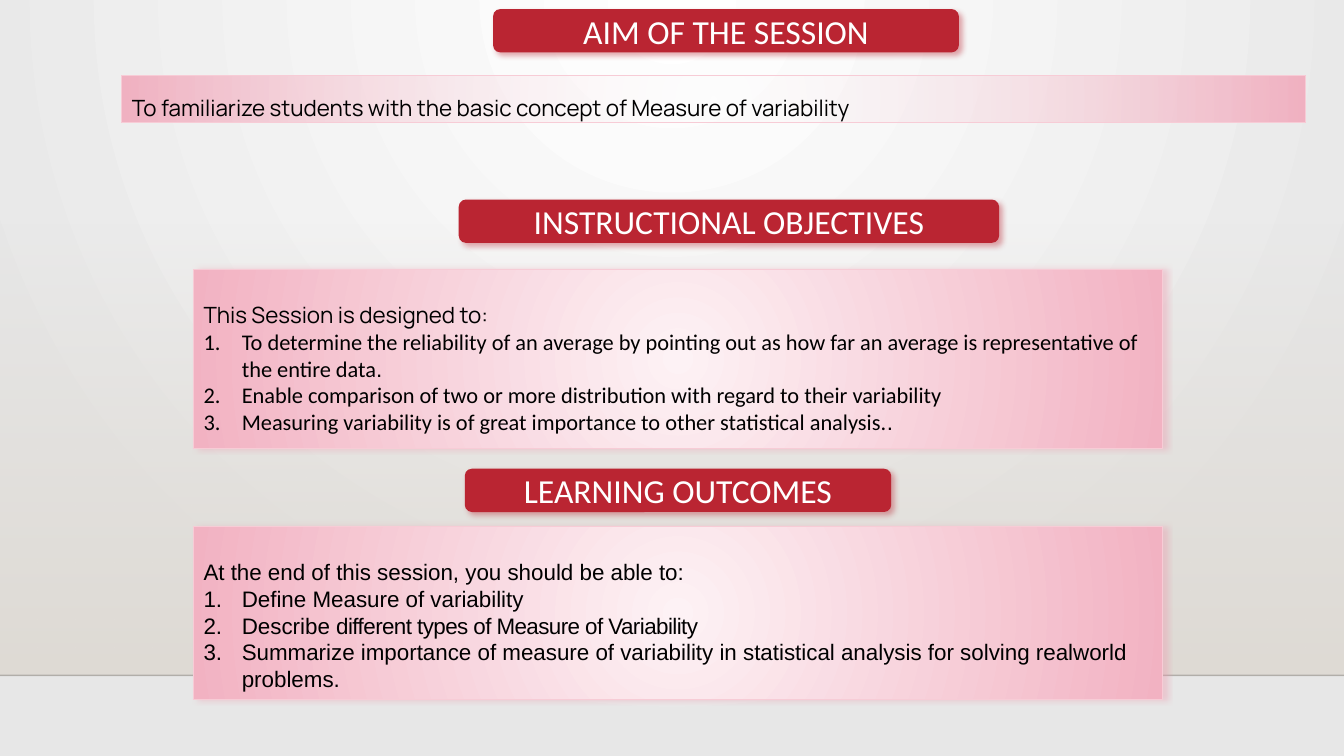
from lxml.etree import SubElement
from pptx import Presentation
from pptx.dml.color import RGBColor
from pptx.enum.shapes import MSO_CONNECTOR as Connector, MSO_SHAPE as Shape
from pptx.enum.text import MSO_ANCHOR as Anchor, MSO_AUTO_SIZE as AutoSize, PP_ALIGN as Align
from pptx.oxml.ns import qn
from pptx.util import Inches, Pt

COLORS = {
    "white": "FFFFFF", "mist": "E7E7E7", "sand": "DFDBD5", "rule": "000001",
    "red": "BA2532", "blush": "FDF2F5", "pink": "F2B2C2", "edge": "F7CCD6",
    "glow": "EE99AD", "black": "000000",
}
CENTRE = (50, 50, 50, 50)


class SessionSlide:
    def __init__(self, deck):
        self.slide = deck.slides.add_slide(deck.slide_layouts[6])
        self.shapes = self.slide.shapes

    def rgb(self, name):
        return RGBColor.from_string(COLORS[name])

    def add_color(self, parent, name, alpha=100):
        color = SubElement(parent, qn("a:srgbClr"), val=COLORS[name])
        if alpha < 100:
            SubElement(color, qn("a:alpha"), val=str(alpha * 1000))

    def gradient(self, fill, owner, inner, outer, inner_alpha=100, focus=None):
        fill.gradient()
        grad = next(owner.iter(qn("a:gradFill")))
        for child in list(grad):
            grad.remove(child)
        stops = SubElement(grad, qn("a:gsLst"))
        for position, name, alpha in ((0, inner, inner_alpha), (100, outer, 100)):
            stop = SubElement(stops, qn("a:gs"), pos=str(position * 1000))
            self.add_color(stop, name, alpha)
        if focus:
            circle = SubElement(grad, qn("a:path"), path="circle")
            sides = {side: str(share * 1000) for side, share in zip("ltrb", focus)}
            SubElement(circle, qn("a:fillToRect"), **sides)
        else:
            SubElement(grad, qn("a:lin"), ang="5400000", scaled="0")

    def background(self):
        self.gradient(self.slide.background.fill, self.slide.element,
                      "white", "mist", focus=(43, 0, 43, 100))

    def block(self, kind, box):
        block = self.shapes.add_shape(kind, *map(Inches, box))
        block.shadow.inherit = False
        block.line.fill.background()
        return block

    def wall(self, box):
        wall = self.block(Shape.RECTANGLE, box)
        self.gradient(wall.fill, wall.element, "sand", "sand", inner_alpha=0)

    def floor_line(self, y, width):
        line = self.shapes.add_connector(
            Connector.STRAIGHT, 0, Inches(y), Inches(width), Inches(y))
        line.line.width = Pt(1)
        line.line.color.rgb = self.rgb("rule")
        color = next(line.element.spPr.iter(qn("a:srgbClr")))
        SubElement(color, qn("a:alpha"), val="20000")
        SubElement(line.element.spPr, qn("a:effectLst"))

    def drop_shadow(self, block, name, angle):
        effects = block.element.spPr.find(qn("a:effectLst"))
        shadow = SubElement(effects, qn("a:outerShdw"), blurRad=str(Pt(4)),
                            dist=str(Pt(3)), dir=str(angle * 60000),
                            algn="tl", rotWithShape="0")
        self.add_color(shadow, name, 40)

    def heading(self, text, left, top, width):
        heading = self.block(Shape.ROUNDED_RECTANGLE, (left, top, width, 0.43))
        heading.fill.solid()
        heading.fill.fore_color.rgb = self.rgb("red")
        self.drop_shadow(heading, "red", 45)
        frame = heading.text_frame
        frame.word_wrap = True
        frame.vertical_anchor = Anchor.MIDDLE
        frame.text = text
        title = frame.paragraphs[0]
        title.alignment = Align.CENTER
        self.style(title.runs[0], "Calibri", 24, "white")

    def style(self, run, font, size=16, color="black", spacing=0):
        run.font.name = font
        run.font.size = Pt(size)
        run.font.color.rgb = self.rgb(color)
        if spacing:
            run.font._element.set("spc", str(round(spacing * 100)))

    def panel(self, box, intro, font, line_spacing, items=(), inner_alpha=100, shadow=True):
        panel = self.block(Shape.RECTANGLE, box)
        self.gradient(panel.fill, panel.element, "blush", "pink", inner_alpha, CENTRE)
        panel.line.color.rgb = self.rgb("edge")
        panel.line.width = Pt(0.75)
        if shadow:
            self.drop_shadow(panel, "glow", 0)
        frame = panel.text_frame
        frame.word_wrap = True
        frame.auto_size = AutoSize.SHAPE_TO_FIT_TEXT
        frame.vertical_anchor = Anchor.TOP
        frame.text = intro
        lead = frame.paragraphs[0]
        lead.alignment = Align.LEFT
        lead.line_spacing = line_spacing
        self.style(lead.runs[0], font)
        for item in items:
            self.numbered(frame.add_paragraph(), item)

    def numbered(self, paragraph, pieces):
        paragraph.alignment = Align.LEFT
        props = paragraph._p.get_or_add_pPr()
        props.set("marL", str(Inches(0.38)))
        props.set("indent", str(-Inches(0.38)))
        SubElement(props, qn("a:buFont"), typeface="+mj-lt")
        SubElement(props, qn("a:buAutoNum"), type="arabicPeriod")
        for text, font, spacing in pieces:
            run = paragraph.add_run()
            run.text = text
            self.style(run, font, spacing=spacing)


def main():
    deck = Presentation()
    deck.slide_width, deck.slide_height = Inches(13.33), Inches(7.5)
    session = SessionSlide(deck)
    session.background()
    session.wall((0, 2.21, 13.33, 4.49))
    session.floor_line(6.7, 13.33)

    session.heading("AIM OF THE SESSION", 4.89, 0.09, 4.62)
    session.panel(
        (1.21, 0.75, 11.74, 0.47),
        "To familiarize students with the basic concept of Measure of variability",
        "Manrope", 1.5, inner_alpha=0, shadow=False)

    session.heading("INSTRUCTIONAL OBJECTIVES", 4.55, 1.98, 5.36)
    objectives = [
        [("To determine the reliability of an average by pointing out as how far "
          "an average is representative of the entire data", "Calibri", 0),
         (".", "Arial", 0)],
        [("Enable comparison of two or more distribution with regard to their "
          "variability", "Calibri", 0)],
        [("Measuring variability is of great importance to other statistical "
          "analysis.", "Calibri", 0), (".", "Arial", 0)],
    ]
    session.panel((1.92, 2.67, 9.61, 1.78), "This Session is designed to:",
                  "Manrope", 2, objectives)

    session.heading("LEARNING OUTCOMES", 4.61, 4.65, 4.23)
    outcomes = [
        [("Define Measure of variability", "Arial", 0)],
        [("Describe ", "Arial", 0),
         ("different types of Measure of Variability", "Arial", -0.4)],
        [("Summarize importance of measure of variability in statistical analysis "
          "for solving realworld problems.", "Arial", 0)],
    ]
    session.panel((1.92, 5.22, 9.61, 1.72),
                  "At the end of this session, you should be able to:",
                  "Arial", 2, outcomes)
    deck.save("out.pptx")


if __name__ == "__main__":
    main()
